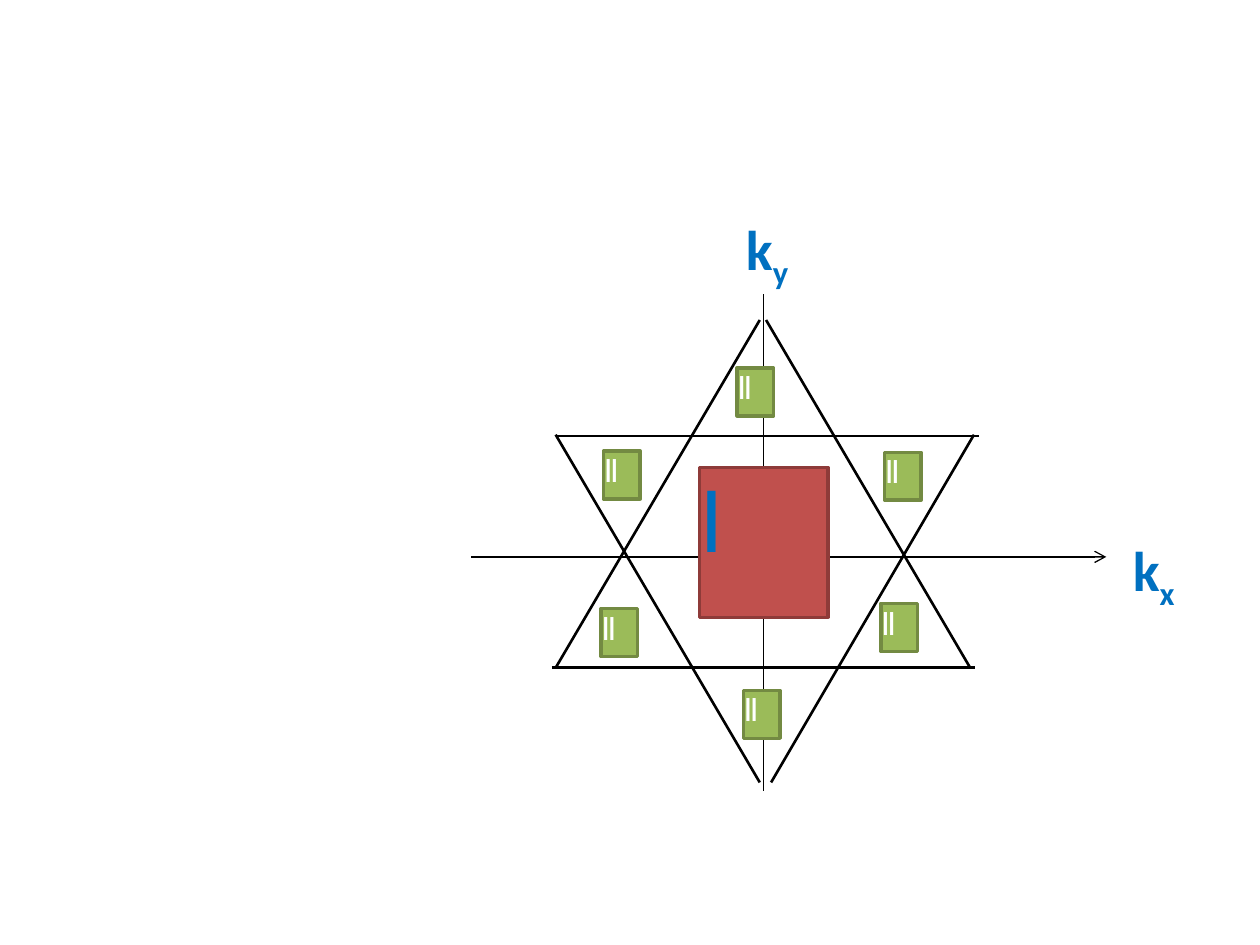
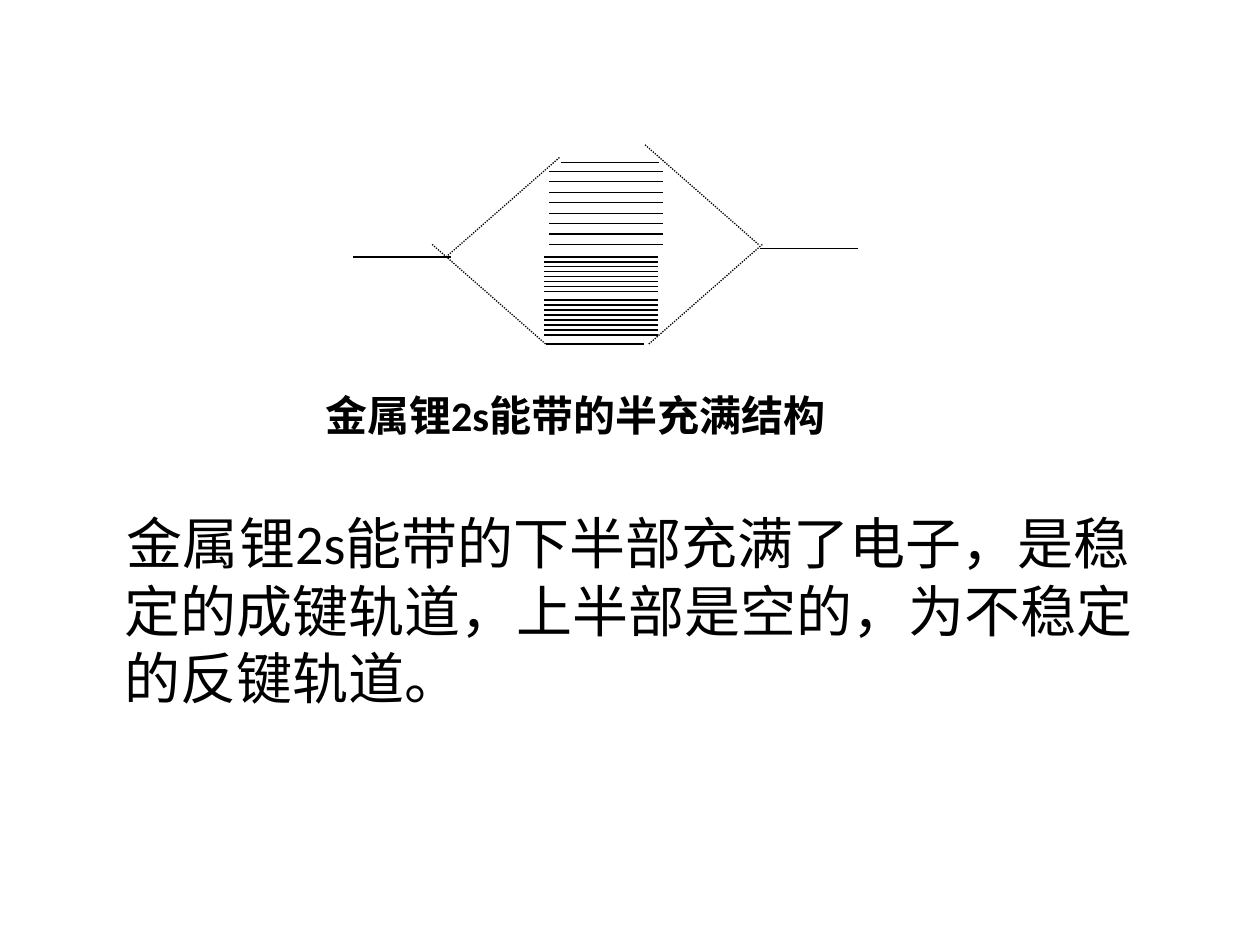
from dataclasses import dataclass

from pptx import Presentation
from pptx.dml.color import RGBColor
from pptx.enum.dml import MSO_LINE
from pptx.enum.shapes import MSO_CONNECTOR, MSO_SHAPE
from pptx.enum.text import MSO_ANCHOR, PP_ALIGN
from pptx.oxml.ns import qn
from pptx.slide import Slide
from pptx.text.text import TextFrame
from pptx.util import Inches, Pt
from lxml.etree import SubElement

COLOURS = {
    "ink": "000000",
    "paper": "FFFFFF",
    "label": "0070C0",
    "first_zone": "C0504D",
    "first_zone_edge": "8E3B39",
    "second_zone": "9BBB59",
    "second_zone_edge": "738A42",
}
FONT = "Calibri"
WIDTH, HEIGHT = Inches(10), Inches(7.5)
COLUMN, ROW = WIDTH / 100, HEIGHT / 75
SUBSCRIPT = -25000


@dataclass
class Segment:
    x1: float
    y1: float
    x2: float
    y2: float
    weight: float = 0.75
    dotted: bool = False
    arrow_end: str = ""


@dataclass
class Area:
    left: float
    top: float
    width: float
    height: float


@dataclass
class Span:
    text: str
    size: float
    colour: str = "ink"
    bold: bool = False
    baseline: int = 0


@dataclass
class Block:
    area: Area
    spans: list[Span]
    fill: str
    edge: str
    weight: float
    insets: tuple[float, float, float, float]


def column(value: float) -> int:
    return round(value * COLUMN)


def row(value: float) -> int:
    return round(value * ROW)


def place(area: Area) -> tuple[int, int, int, int]:
    return column(area.left), row(area.top), column(area.width), row(area.height)


def rgb(name: str) -> RGBColor:
    return RGBColor.from_string(COLOURS[name])


def draw_segment(page: Slide, segment: Segment) -> None:
    connector = page.shapes.add_connector(
        MSO_CONNECTOR.STRAIGHT,
        column(segment.x1), row(segment.y1), column(segment.x2), row(segment.y2),
    )
    connector.line.color.rgb = rgb("ink")
    connector.line.width = Pt(segment.weight)
    if segment.dotted:
        connector.line.dash_style = MSO_LINE.ROUND_DOT
    properties = connector._element.spPr
    if segment.arrow_end:
        SubElement(properties.find(qn("a:ln")), qn(f"a:{segment.arrow_end}"), type="arrow")
    SubElement(properties, qn("a:effectLst"))


def write(frame: TextFrame, spans: list[Span], align: PP_ALIGN) -> None:
    frame.word_wrap = True
    frame.vertical_anchor = MSO_ANCHOR.TOP
    para = frame.paragraphs[0]
    para.alignment = align
    for span in spans:
        run = para.add_run()
        run.text = span.text
        run.font.name = FONT
        run.font.size = Pt(span.size)
        run.font.bold = span.bold
        run.font.color.rgb = rgb(span.colour)
        properties = run.font._element
        SubElement(properties, qn("a:ea"), typeface=FONT)
        if span.baseline:
            properties.set("baseline", str(span.baseline))


def draw_block(page: Slide, block: Block) -> None:
    box = page.shapes.add_shape(MSO_SHAPE.RECTANGLE, *place(block.area))
    box.shadow.inherit = False
    box.fill.solid()
    box.fill.fore_color.rgb = rgb(block.fill)
    box.line.color.rgb = rgb(block.edge)
    box.line.width = Pt(block.weight)
    frame = box.text_frame
    left, top, right, bottom = block.insets
    frame.margin_left, frame.margin_right = column(left), column(right)
    frame.margin_top, frame.margin_bottom = row(top), row(bottom)
    write(frame, block.spans, PP_ALIGN.JUSTIFY)


def draw_text(page: Slide, area: Area, span: Span, align: PP_ALIGN) -> TextFrame:
    frame = page.shapes.add_textbox(*place(area)).text_frame
    write(frame, [span], align)
    return frame


def axis_label(area: Area, subscript: str) -> Block:
    spans = [
        Span("k", 32, "label", True),
        Span(subscript, 32, "label", True, SUBSCRIPT),
    ]
    return Block(area, spans, "paper", "paper", 0.75, (0.2, 0, 0.2, 0.1))


def second_zone(left: float, top: float) -> Block:
    return Block(
        Area(left, top, 2.9, 3.8), [Span("Ⅱ", 18, "paper")],
        "second_zone", "second_zone_edge", 2, (0, 0, 0, 0),
    )


def build_zones(page: Slide) -> None:
    axes = [
        Segment(37.4, 44.2, 87.8, 44.2, arrow_end="tailEnd"),
        Segment(60.6, 21.6, 60.6, 62.8, arrow_end="headEnd"),
    ]
    labels = [
        axis_label(Area(89.7, 42.5, 7.9, 8.4), "x"),
        axis_label(Area(59, 17, 5.9, 6.3), "y"),
    ]
    star = [
        Segment(44.1, 34.6, 77.7, 34.6, 1.5),
        Segment(44.1, 34.5, 60.3, 62.1, 1.5),
        Segment(77.3, 34.5, 61.2, 62.1, 1.5),
        Segment(43.8, 53, 77.4, 53, 1.5),
        Segment(60.3, 25.4, 44.1, 53, 1.5),
        Segment(60.8, 25.4, 77, 53, 1.5),
    ]
    first_zone = Block(
        Area(55.5, 37.1, 10.2, 11.9), [Span("Ⅰ", 48, "label")],
        "first_zone", "first_zone_edge", 2, (0, 0.1, 0.2, 0.1),
    )
    second_zone_corners = [
        (69.9, 47.9), (47.9, 35.8), (70.2, 35.9),
        (47.7, 48.3), (59, 54.8), (58.5, 29.2),
    ]
    for axis in axes:
        draw_segment(page, axis)
    for label in labels:
        draw_block(page, label)
    for side in star:
        draw_segment(page, side)
    draw_block(page, first_zone)
    for left, top in second_zone_corners:
        draw_block(page, second_zone(left, top))


def level_stack(left: float, top: float, gap: float, count: int) -> list[Segment]:
    return [
        Segment(left, top + gap * index, left + 9, top + gap * index)
        for index in range(count)
    ]


def build_band(page: Slide) -> None:
    body = draw_text(
        page, Area(5.1, 39.9, 90, 29.5),
        Span("金属锂2s能带的下半部充满了电子，是稳定的成键轨道，上半部是空的，为不稳定的反键轨道。", 32),
        PP_ALIGN.LEFT,
    )
    indents = body.paragraphs[0]._p.get_or_add_pPr()
    indents.set("marL", str(column(3.8)))
    indents.set("indent", str(column(0.2)))

    empty_levels = level_stack(43.6, 13.6, 0.83, 8)
    filled_levels = level_stack(43.2, 20.4, 0.39, 8) + level_stack(43.2, 23.8, 0.4, 8)
    outer_levels = [
        Segment(left, top, left + 7.8, top)
        for left, top in [(60.3, 19.7), (44.5, 12.9), (28, 20.4), (43.3, 27.3)]
    ]
    correlations = [
        Segment(left, top, left + 9, top + rise, dotted=True)
        for left, top, rise in [
            (35.4, 20.4, -7.9), (51.5, 27.3, -7.9),
            (51.2, 11.5, 7.9), (34.3, 19.4, 7.9),
        ]
    ]
    for segment in empty_levels + filled_levels + outer_levels + correlations:
        draw_segment(page, segment)

    draw_text(
        page, Area(24.5, 30.4, 42.3, 5.1),
        Span("金属锂2s能带的半充满结构", 24, bold=True), PP_ALIGN.CENTER,
    )


def main() -> None:
    deck = Presentation()
    deck.slide_width, deck.slide_height = WIDTH, HEIGHT
    blank = deck.slide_layouts[6]
    for build in (build_zones, build_band):
        build(deck.slides.add_slide(blank))
    deck.save("out.pptx")


if __name__ == "__main__":
    main()
